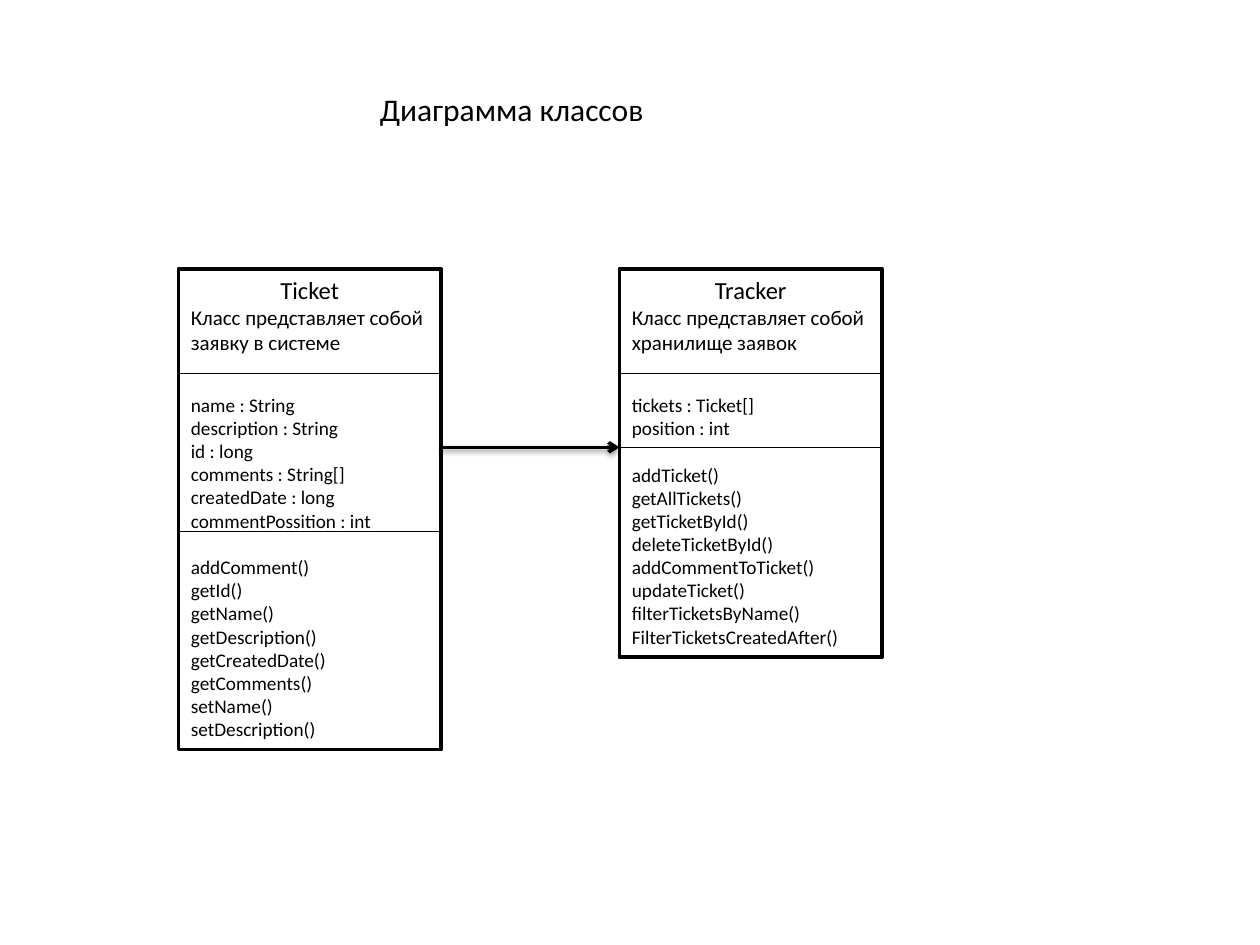
from dataclasses import dataclass
from lxml.etree import SubElement
from pptx import Presentation
from pptx.dml.color import RGBColor
from pptx.enum.shapes import MSO_CONNECTOR, MSO_SHAPE
from pptx.enum.text import MSO_ANCHOR, PP_ALIGN
from pptx.oxml.ns import qn
from pptx.util import Inches, Pt


@dataclass(frozen=True)
class Theme:
    font: str = "Calibri"
    ink: RGBColor = RGBColor(0, 0, 0)
    paper: RGBColor = RGBColor(255, 255, 255)
    title: int = 18
    name: int = 14
    note: int = 12
    member: int = 11
    thick: float = 2
    thin: float = 0.75
    note_gap: float = 22
    group_gap: float = 13.4


THEME = Theme()
WIDE = 25
LEFT, RIGHT = 17, 59
TOP, HEAD = 25.6, 35.6
LINK = 42.6

TICKET = (
    "Ticket",
    "Класс представляет собой заявку в системе",
    ["name : String", "description : String", "id : long",
     "comments : String[]", "createdDate : long", "commentPossition : int"],
    ["addComment()", "getId()", "getName()", "getDescription()",
     "getCreatedDate()", "getComments()", "setName()", "setDescription()"],
)
TRACKER = (
    "Tracker",
    "Класс представляет собой хранилище заявок",
    ["tickets : Ticket[]", "position : int"],
    ["addTicket()", "getAllTickets()", "getTicketById()",
     "deleteTicketById()", "addCommentToTicket()", "updateTicket()",
     "filterTicketsByName()", "FilterTicketsCreatedAfter()"],
)


def grid(*cells):
    return [Inches(cell / 12) for cell in cells]


def write(frame, rows):
    frame.word_wrap = True
    frame.vertical_anchor = MSO_ANCHOR.TOP
    for i, (text, size, align, gap) in enumerate(rows):
        para = frame.add_paragraph() if i else frame.paragraphs[0]
        para.alignment = align
        para.space_before = Pt(gap)
        run = para.add_run()
        run.text = text
        run.font.name = THEME.font
        run.font.size = Pt(size)
        run.font.color.rgb = THEME.ink


def add_line(slide, start, end, width):
    line = slide.shapes.add_connector(
        MSO_CONNECTOR.STRAIGHT, *grid(*start, *end))
    line.line.color.rgb = THEME.ink
    line.line.width = Pt(width)
    effects = SubElement(line._element.spPr, qn("a:effectLst"))
    return line, effects


def add_arrow(slide, start, end):
    line, effects = add_line(slide, start, end, THEME.thick)
    SubElement(line.line._get_or_add_ln(), qn("a:tailEnd"), type="arrow")
    shade = SubElement(effects, qn("a:outerShdw"), blurRad=str(Pt(3.1)),
                       dist=str(Pt(1.6)), dir="5400000", rotWithShape="0")
    color = SubElement(shade, qn("a:srgbClr"), val=str(THEME.ink))
    SubElement(color, qn("a:alpha"), val="38000")


def members(names, gap):
    return [(name, THEME.member, PP_ALIGN.LEFT, 0 if i else gap)
            for i, name in enumerate(names)]


def add_class(slide, left, high, split, model):
    name, note, fields, methods = model
    box = slide.shapes.add_shape(
        MSO_SHAPE.RECTANGLE, *grid(left, TOP, WIDE, high))
    box.shadow.inherit = False
    box.fill.solid()
    box.fill.fore_color.rgb = THEME.paper
    box.line.color.rgb = THEME.ink
    box.line.width = Pt(THEME.thick)
    write(box.text_frame, [
        (name, THEME.name, PP_ALIGN.CENTER, 0),
        (note, THEME.note, PP_ALIGN.LEFT, 0),
        *members(fields, THEME.note_gap),
        *members(methods, THEME.group_gap),
    ])
    for level in (HEAD, split):
        add_line(slide, (left, level), (left + WIDE, level), THEME.thin)


def add_title(slide, text):
    box = slide.shapes.add_textbox(*grid(35, 8, 28, 4.8))
    write(box.text_frame, [(text, THEME.title, PP_ALIGN.LEFT, 0)])


def main():
    deck = Presentation()
    deck.slide_width, deck.slide_height = Inches(10), Inches(7.5)
    slide = deck.slides.add_slide(deck.slide_layouts[6])
    add_class(slide, LEFT, 45.8, 50.6, TICKET)
    add_class(slide, RIGHT, 37, LINK, TRACKER)
    add_arrow(slide, (LEFT + WIDE, LINK), (RIGHT, LINK))
    add_title(slide, "Диаграмма классов")
    deck.save("out.pptx")


if __name__ == "__main__":
    main()
